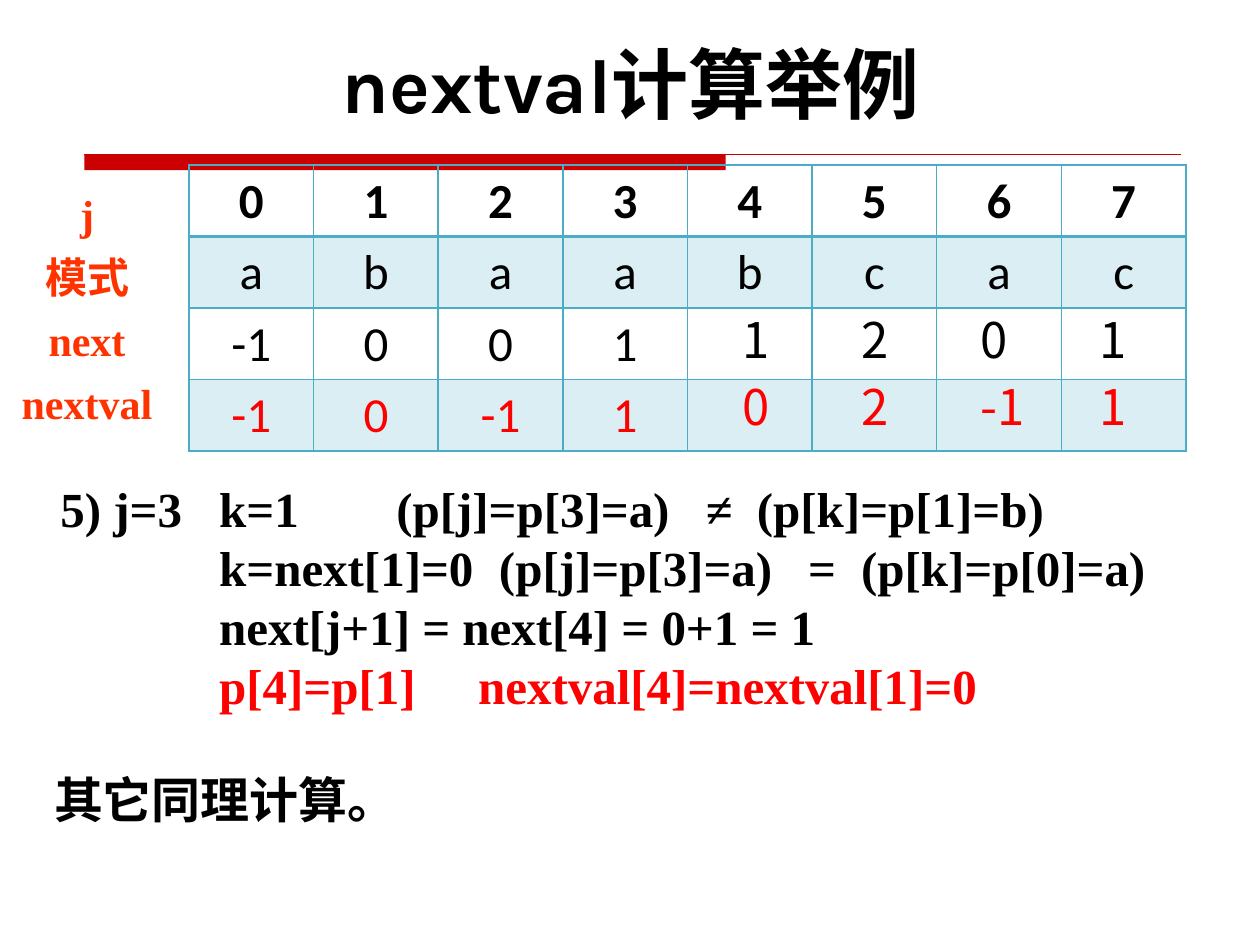
from dataclasses import dataclass

from lxml import etree
from pptx import Presentation
from pptx import util as u
from pptx.dml import color as dml
from pptx.enum import shapes, text
from pptx.oxml import ns

Cm, Pt = u.Cm, u.Pt
MID = text.PP_ALIGN.CENTER


@dataclass(frozen=True)
class Theme:
    """Hold the colours, fonts and type sizes of the slide."""
    black: str = "000000"
    red: str = "FF0000"
    bar: str = "CC0000"
    label: str = "FF3300"
    teal: str = "4BACC6"
    alpha: int = 20
    head: str = "Karla"
    serif: str = "Times New Roman"
    cell: str = "Calibri"
    han: str = "Noto Sans CJK SC"
    big: int = 44
    body: int = 28
    small: int = 24


T = Theme()

HEAD = [str(j) for j in range(8)]
ROWS = [HEAD, list("abaabcac"), ["-1", "0", "0", "1"], ["-1", "0", "-1", "1"]]
LABELS = ["j", "模式", "next", "nextval"]
LATE = [("1", "2", "0", "1"), ("0", "2", "-1", "1")]
STEPS = [
    ("5) j=3\tk=1\t(p[j]=p[3]=a)\t≠\t(p[k]=p[1]=b)",
     (3.2, 6.77, 13.01, 14.04), T.black),
    ("\tk=next[1]=0\t(p[j]=p[3]=a)\t=\t(p[k]=p[0]=a)",
     (3.2, 8.84, 15.07, 16.14), T.black),
    ("\tnext[j+1] = next[4] = 0+1 = 1", (3.2,), T.black),
    ("\tp[4]=p[1]\tnextval[4]=nextval[1]=0", (3.2, 8.42), T.red),
]


def apply(item, form):
    """Set each attribute of a format dict on an object."""
    for name, value in form.items():
        setattr(item, name, value)


def sub(node, tag, **attrs):
    """Add a child element in the drawing namespace."""
    return etree.SubElement(node, ns.qn(tag), attrs)


def write(para, words, face, size, tint=T.black, bold=True, **form):
    """Put one formatted run in a paragraph."""
    run = para.add_run()
    run.text = words
    run.font.color.rgb = dml.RGBColor.from_string(tint)
    apply(run.font, {"name": face, "size": Pt(size), "bold": bold})
    sub(run.font._element, "a:ea", typeface=T.han)
    apply(para, form)


def add_box(slide, left, top, width, height, **form):
    """Add a wrapping text box and return its frame."""
    box = slide.shapes.add_textbox(Cm(left), Cm(top), Cm(width), Cm(height))
    apply(box.text_frame, {"word_wrap": True, **form})
    return box.text_frame


def add_paras(frame, count):
    """Give a frame the wanted number of paragraphs."""
    for _ in range(count - 1):
        frame.add_paragraph()
    return frame.paragraphs


def add_rule(slide):
    """Draw the thick bar and the thin line under the title."""
    tint = dml.RGBColor.from_string(T.bar)
    left, top = Cm(1.7), Cm(3.12)
    bar = slide.shapes.add_shape(
        shapes.MSO_SHAPE.RECTANGLE, left, top, Cm(12.93), Cm(0.31))
    bar.shadow.inherit = False
    bar.fill.solid()
    bar.fill.fore_color.rgb = tint
    bar.line.fill.background()
    line = slide.shapes.add_connector(
        shapes.MSO_CONNECTOR.STRAIGHT, left, top, Cm(23.8), top)
    line.line.color.rgb = tint
    line.line.width = Pt(0.75)
    sub(line._element.spPr, "a:effectLst")


def edge(cell, sides):
    """Draw the borders of a cell, given the width of each side."""
    props = cell._tc.get_or_add_tcPr()
    for spot, (side, width) in enumerate(sides.items()):
        line = etree.Element(ns.qn(f"a:ln{side}"), w=str(Pt(width)))
        sub(sub(line, "a:solidFill"), "a:srgbClr", val=T.teal)
        props.insert(spot, line)


def shade(cell, band):
    """Fill a cell with the pale band, or leave it clear."""
    if not band:
        cell.fill.background()
        return
    cell.fill.solid()
    cell.fill.fore_color.rgb = dml.RGBColor.from_string(T.teal)
    tone = cell._tc.tcPr.find(".//" + ns.qn("a:srgbClr"))
    sub(tone, "a:alpha", val=str(T.alpha * 1000))


def add_grid(slide):
    """Add the table of indices, pattern, next and nextval."""
    grid = slide.shapes.add_table(
        len(ROWS), len(HEAD), Cm(3.81), Cm(3.33), Cm(20.1), Cm(5.76)).table
    for r, row in enumerate(ROWS):
        for c in range(len(HEAD)):
            cell = grid.cell(r, c)
            cell.vertical_anchor = text.MSO_ANCHOR.MIDDLE
            shade(cell, r % 2)
            edge(cell, {"L": 1, "R": 1, "T": 2 if r == 1 else 1,
                        "B": 2 if r == 0 else 1})
            if c < len(row):
                write(cell.text_frame.paragraphs[0], row[c], T.cell, T.body,
                      T.red if r == 3 else T.black, r == 0, alignment=MID)


def add_labels(slide):
    """Add the row names to the left of the table."""
    frame = add_box(slide, -0.3, 3.43, 4.11, 5.26)
    for para, name in zip(add_paras(frame, len(LABELS)), LABELS):
        write(para, name, T.serif, T.small, T.label,
              alignment=MID, line_spacing=1.25)


def add_steps(slide):
    """Add the worked steps, lined up by tab stops."""
    frame = add_box(slide, 0.48, 9.53, 25.02, 5.05, margin_left=Cm(0.74))
    for para, (words, stops, tint) in zip(add_paras(frame, len(STEPS)), STEPS):
        write(para, words, T.serif, T.body, tint)
        tabs = sub(para._p.get_or_add_pPr(), "a:tabLst")
        for stop in stops:
            sub(tabs, "a:tab", pos=str(Cm(stop)), algn="l")


def add_late(slide):
    """Add the values laid over the last four columns."""
    for top, tint, row in zip((6.12, 7.47), (T.black, T.red), LATE):
        for c, value in enumerate(row):
            width = 1.4 if len(value) == 1 else 1.8
            frame = add_box(slide, 14.71 + 2.4 * c, top, width, 1.45)
            write(frame.paragraphs[0], value, T.han, T.body, tint, False)


def main():
    """Build the slide and save it."""
    deck = Presentation()
    apply(deck, {"slide_width": Cm(25.4), "slide_height": Cm(19.05)})
    slide = deck.slides.add_slide(deck.slide_layouts[6])
    add_rule(slide)
    title = add_box(slide, 1.6, 0.84, 22.23, 1.88,
                    vertical_anchor=text.MSO_ANCHOR.BOTTOM)
    write(title.paragraphs[0], "nextval计算举例", T.head, T.big, alignment=MID)
    add_labels(slide)
    add_grid(slide)
    add_steps(slide)
    note = add_box(slide, 0.69, 15.39, 25.02, 1.45, margin_left=Cm(0.4))
    write(note.paragraphs[0], "其它同理计算。", T.serif, T.body)
    add_late(slide)
    deck.save("out.pptx")


if __name__ == "__main__":
    main()
